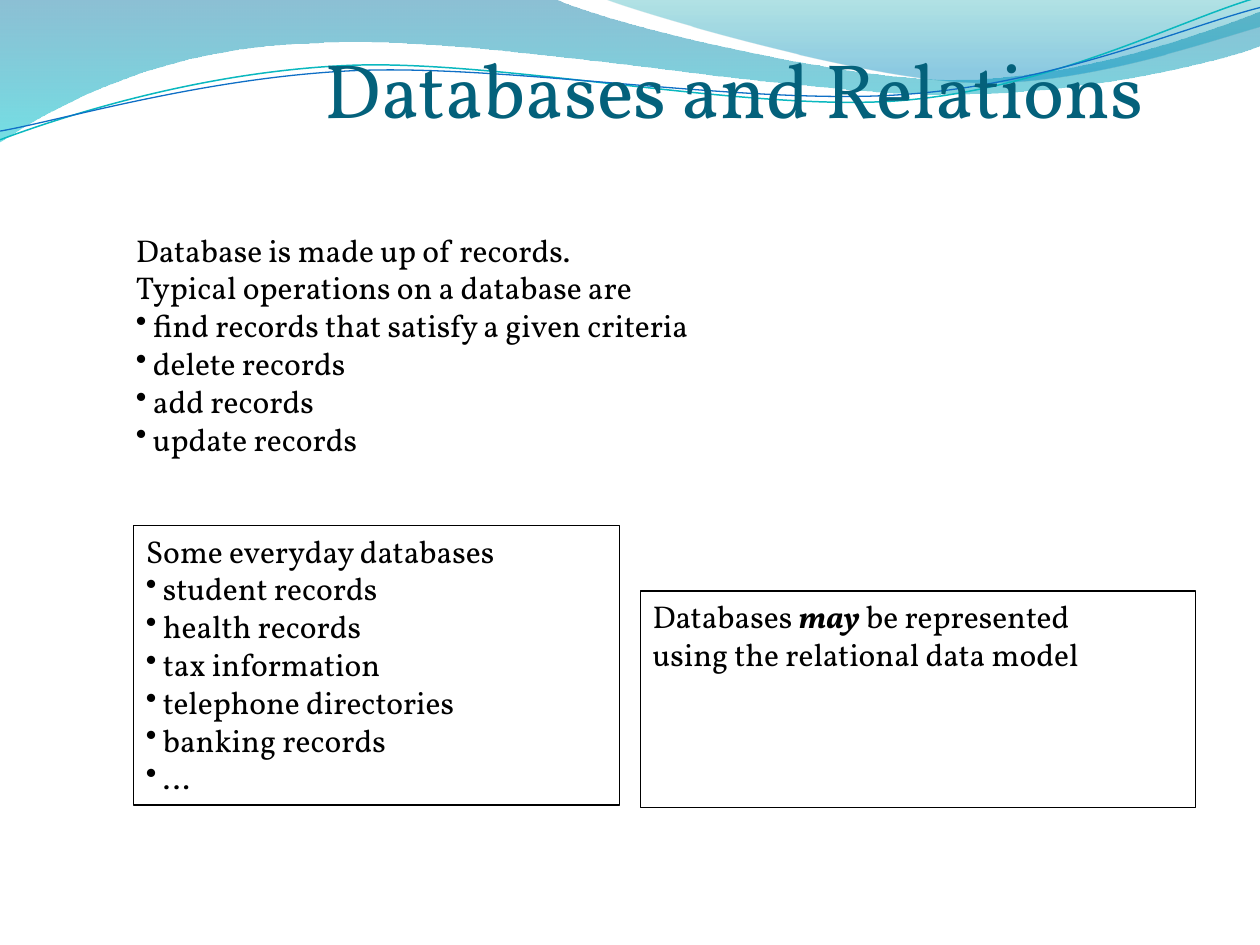
from lxml import etree
from pptx import Presentation, util as u
from pptx.dml.color import RGBColor
from pptx.enum import shapes, text
from pptx.oxml.ns import qn

BLACK = RGBColor(0x00, 0x00, 0x00)
TITLE = RGBColor(0x04, 0x61, 0x7B)
DEEP_BLUE = RGBColor(0x00, 0x74, 0xA1)
AQUA = RGBColor(0x00, 0xC6, 0xCF)
TEAL = RGBColor(0x00, 0xA1, 0xA9)
SKY = RGBColor(0x00, 0x8B, 0xBF)
TEAL_LINE = RGBColor(0x0A, 0xB8, 0xBF)
BLUE_LINE = RGBColor(0x0F, 0x6F, 0xC6)


class SlideStyle:
    font = "Vollkorn"
    body_size = 18
    bullet_indent = 9.7

    def __init__(self, page):
        self.page = page

    def outline(self, start, segments, close):
        points = [point for segment in segments for point in segment]
        builder = self.page.shapes.build_freeform(
            *(u.Pt(value) for value in start), scale=1.0)
        builder.add_line_segments(
            [tuple(u.Pt(value) for value in point) for point in points], close=close)
        shape = builder.convert_to_shape()
        shape.shadow.inherit = False
        steps = iter(list(shape._element.iter(qn("a:lnTo"))))
        for segment in segments:
            group = [next(steps) for _ in segment]
            if len(group) == 3:
                curve = etree.Element(qn("a:cubicBezTo"))
                group[0].addprevious(curve)
                for step in group:
                    curve.append(step[0])
                    step.getparent().remove(step)
        return shape

    def wave(self, start, segments, stops):
        shape = self.outline(start, segments, True)
        shape.line.fill.background()
        shape.fill.gradient()
        shape.fill.gradient_angle = 270
        for stop, (position, color, opacity) in zip(shape.fill.gradient_stops, stops):
            stop.position = position
            stop.color.rgb = color
        colors = shape._element.spPr.find(qn("a:gradFill")).iter(qn("a:srgbClr"))
        for element, (position, color, opacity) in zip(colors, stops):
            etree.SubElement(element, qn("a:alpha"), val=str(opacity * 1000))

    def ripple(self, start, segments, color, width):
        shape = self.outline(start, segments, False)
        shape.fill.background()
        shape.line.color.rgb = color
        shape.line.width = u.Pt(width)

    def add_lines(self, box, lines, size, color):
        frame = box.text_frame
        frame.word_wrap = True
        frame.auto_size = text.MSO_AUTO_SIZE.NONE
        frame.vertical_anchor = text.MSO_ANCHOR.TOP
        for index, line in enumerate(lines):
            para = frame.paragraphs[0] if index == 0 else frame.add_paragraph()
            para.alignment = text.PP_ALIGN.LEFT
            if line[0] == "•":
                line = line[1:]
                indent = u.Pt(self.bullet_indent)
                properties = para._p.get_or_add_pPr()
                properties.set("marL", str(indent))
                properties.set("indent", str(-indent))
                etree.SubElement(properties, qn("a:buChar"), char="•")
            for words, strong in line:
                span = para.add_run()
                span.text = words
                span.font.name = self.font
                span.font.size = u.Pt(size)
                span.font.color.rgb = color
                span.font.bold = span.font.italic = strong

    def text_box(self, place, lines, size=body_size, color=BLACK):
        box = self.page.shapes.add_textbox(*(u.Pt(value) for value in place))
        self.add_lines(box, lines, size, color)

    def framed_box(self, place, lines):
        box = self.page.shapes.add_shape(
            shapes.MSO_SHAPE.RECTANGLE, *(u.Pt(value) for value in place))
        box.shadow.inherit = False
        box.fill.background()
        box.line.color.rgb = BLACK
        box.line.width = u.Pt(0.75)
        self.add_lines(box, lines, self.body_size, BLACK)


def plain(words):
    return [(words, False)]


def bullets(*items):
    return [["•", (item, False)] for item in items]


def main():
    deck = Presentation()
    deck.slide_width, deck.slide_height = u.Pt(720), u.Pt(540)
    style = SlideStyle(deck.slides.add_slide(deck.slide_layouts[6]))

    style.wave((0, 0), [
        [(316.8, -0.7)],
        [(342.7, 12.2), (478.1, 45.4), (545.8, 45.4)],
        [(614.2, 45.4), (689.8, 18.7), (720, 6.5)],
        [(720.7, 25.9)],
        [(707.8, 31.7), (626.4, 54.7), (537.1, 54)],
        [(447.8, 54), (275, 20.2), (185, 24.5)],
        [(92.9, 25.9), (33.1, 59.8), (-0.7, 81.4)],
    ], [(0, DEEP_BLUE, 45), (1, AQUA, 55)])
    style.wave((344.9, -0.7), [
        [(366.5, 7.9), (491, 44.6), (553.7, 46.8)],
        [(616.3, 49.7), (691.9, 23), (720, 15.1)],
        [(720, 0)],
    ], [(0, TEAL, 30), (0.8, SKY, 45)])
    style.ripple((0, 79.9), [
        [(34.6, 67), (113.8, 41), (199.4, 37.4)],
        [(284.4, 33.8), (427, 64.1), (513.4, 57.6)],
        [(599.8, 51.1), (675.4, 10.8), (718.6, -1.4)],
    ], TEAL_LINE, 0.85)
    style.ripple((0, 74.9), [
        [(33.8, 69.1), (118.1, 43.9), (203.8, 40.3)],
        [(290.2, 36.7), (429.8, 60.5), (516.2, 54)],
        [(601.9, 48.2), (677.5, 15.1), (720, 4.3)],
    ], BLUE_LINE, 0.75)

    style.text_box((70.6, 128.2, 572.4, 181.4), [
        plain("Database is made up of records."),
        plain("Typical operations on a database are"),
        *bullets("find records that satisfy a given criteria",
                 "delete records", "add records", "update records"),
    ])
    style.framed_box((76.3, 300.2, 277.9, 159.8), [
        plain("Some everyday databases"),
        *bullets("student records", "health records", "tax information",
                 "telephone directories", "banking records", "…"),
    ])
    style.framed_box((365.8, 337.7, 317.5, 123.8), [
        [("Databases ", False), ("may", True), (" be represented", False)],
        plain("using the relational data model"),
    ])
    style.text_box((178.6, 20.2, 499, 60.5),
                   [plain("Databases and Relations")], 44, TITLE)
    deck.save("out.pptx")


if __name__ == "__main__":
    main()
